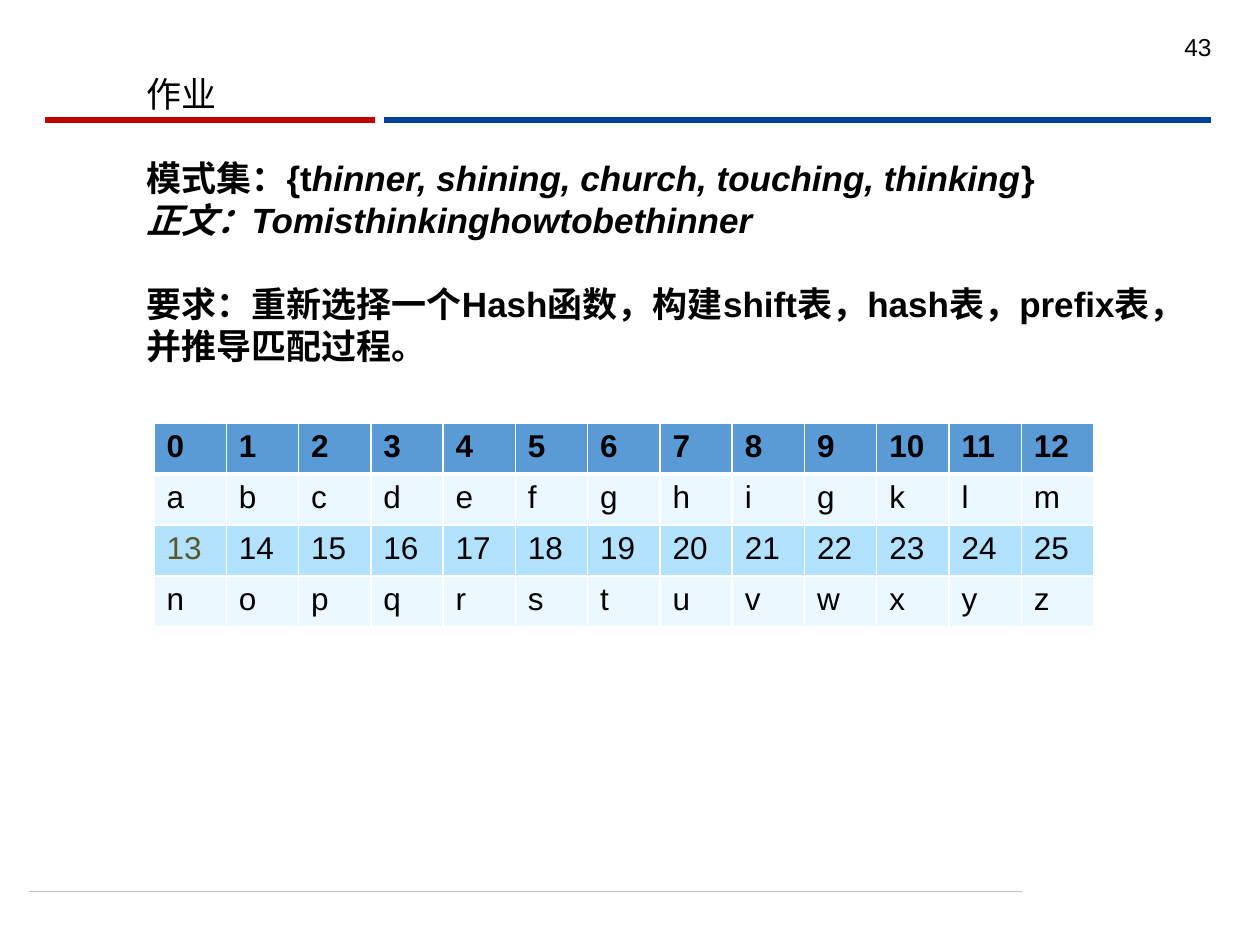
"""Build the homework slide: rules, page number, task text and letter table."""
from pptx import Presentation
from pptx import util as u
from pptx.dml.color import RGBColor
from pptx.enum import shapes, text
from pptx.oxml import parse_xml
from pptx.oxml import ns

SCALE = 914400 / 126
BLACK = RGBColor(0, 0, 0)
WHITE = RGBColor(0xFF, 0xFF, 0xFF)
GREY = RGBColor(0xBF, 0xBF, 0xBF)
RED = RGBColor(0xC0, 0, 0)
NAVY = RGBColor(0, 0x42, 0x99)
OLIVE = RGBColor(0x59, 0x58, 0x2D)
HEAD = RGBColor(0x5B, 0x9B, 0xD5)
PALE = RGBColor(0xEC, 0xF8, 0xFF)
SKY = RGBColor(0xB2, 0xE2, 0xFF)

RULES = [
    (29, 1022, 891, GREY, 0.5),
    (384, 1211, 120, NAVY, 3),
    (45, 375, 120, RED, 3),
]
BOLD = {"bold": True}
SLANT = {"bold": True, "italic": True}
TASK = [
    (0, [("作业", {})]),
    (24, [
        ("模式集：{t", BOLD),
        ("hinner, shining, church, touching, thinking", SLANT),
        ("}", BOLD),
    ]),
    (0, [("正文：Tomisthinkinghowtobethinner", SLANT)]),
    (24, [("要求：重新选择一个Hash函数，构建shift表，hash表，prefix表，并推导匹配过程。", BOLD)]),
]
ROWS = [
    (range(13), HEAD),
    ("abcdefghigklm", PALE),
    (range(13, 26), SKY),
    ("nopqrstuvwxyz", PALE),
]


def px(num):
    """Turn pixels into EMU."""
    return u.Emu(round(num * SCALE))


def put(para, words, size, color=BLACK, **form):
    """Add a run with its font values."""
    run = para.add_run()
    run.text = words
    values = {"name": "Arial", "size": u.Pt(size), **form}
    for key, value in values.items():
        setattr(run.font, key, value)
    run.font.color.rgb = color


def add_rule(slide, left, right, top, color, width):
    """Draw a level line without a shadow."""
    rule = slide.shapes.add_connector(
        shapes.MSO_CONNECTOR.STRAIGHT, px(left), px(top), px(right), px(top))
    rule.line.color.rgb = color
    rule.line.width = u.Pt(width)
    props = rule._element.spPr
    props.append(parse_xml(f"<a:effectLst {ns.nsdecls('a')}/>"))


def add_box(slide, left, top, width, height):
    """Add a wrapping text box and return its frame."""
    box = slide.shapes.add_textbox(px(left), px(top), px(width), px(height))
    box.text_frame.word_wrap = True
    return box.text_frame


def add_page(slide):
    """Write the page number."""
    para = add_box(slide, 1147, 26, 77, 66).paragraphs[0]
    para.alignment = text.PP_ALIGN.RIGHT
    put(para, "43", 14)


def add_task(slide):
    """Write the heading and the task."""
    frame = add_box(slide, 134, 66, 1071, 861)
    for num, (gap, runs) in enumerate(TASK):
        para = frame.add_paragraph() if num else frame.paragraphs[0]
        para.space_before = u.Pt(gap)
        para.line_spacing = u.Pt(24)
        for words, form in runs:
            put(para, words, 20, **form)


def add_edges(cell, widths):
    """Give a cell white borders of the given widths."""
    props = cell._tc.get_or_add_tcPr()
    for side, width in widths.items():
        props.append(parse_xml(
            f'<a:ln{side} {ns.nsdecls("a")} w="{u.Pt(width)}"><a:solidFill>'
            f'<a:srgbClr val="{WHITE}"/></a:solidFill></a:ln{side}>'))


def add_codes(slide):
    """Add the table of letters and their codes."""
    table = slide.shapes.add_table(
        len(ROWS), 13, px(154), px(423), px(940), px(204)).table
    table.horz_banding = False
    for row, (items, fill) in enumerate(ROWS):
        widths = {"L": 1, "R": 1, "T": 3 if row == 1 else 1,
                  "B": 3 if row == 0 else 1}
        for col, item in enumerate(items):
            cell = table.cell(row, col)
            add_edges(cell, widths)
            cell.fill.solid()
            cell.fill.fore_color.rgb = fill
            color = OLIVE if item == 13 else BLACK
            put(cell.text_frame.paragraphs[0], str(item), 18, color,
                bold=row == 0)


def main():
    """Build and save the slide."""
    deck = Presentation()
    deck.slide_width, deck.slide_height = px(1260), px(945)
    slide = deck.slides.add_slide(deck.slide_layouts[6])
    for rule in RULES:
        add_rule(slide, *rule)
    add_page(slide)
    add_task(slide)
    add_codes(slide)
    deck.save("out.pptx")


if __name__ == "__main__":
    main()
